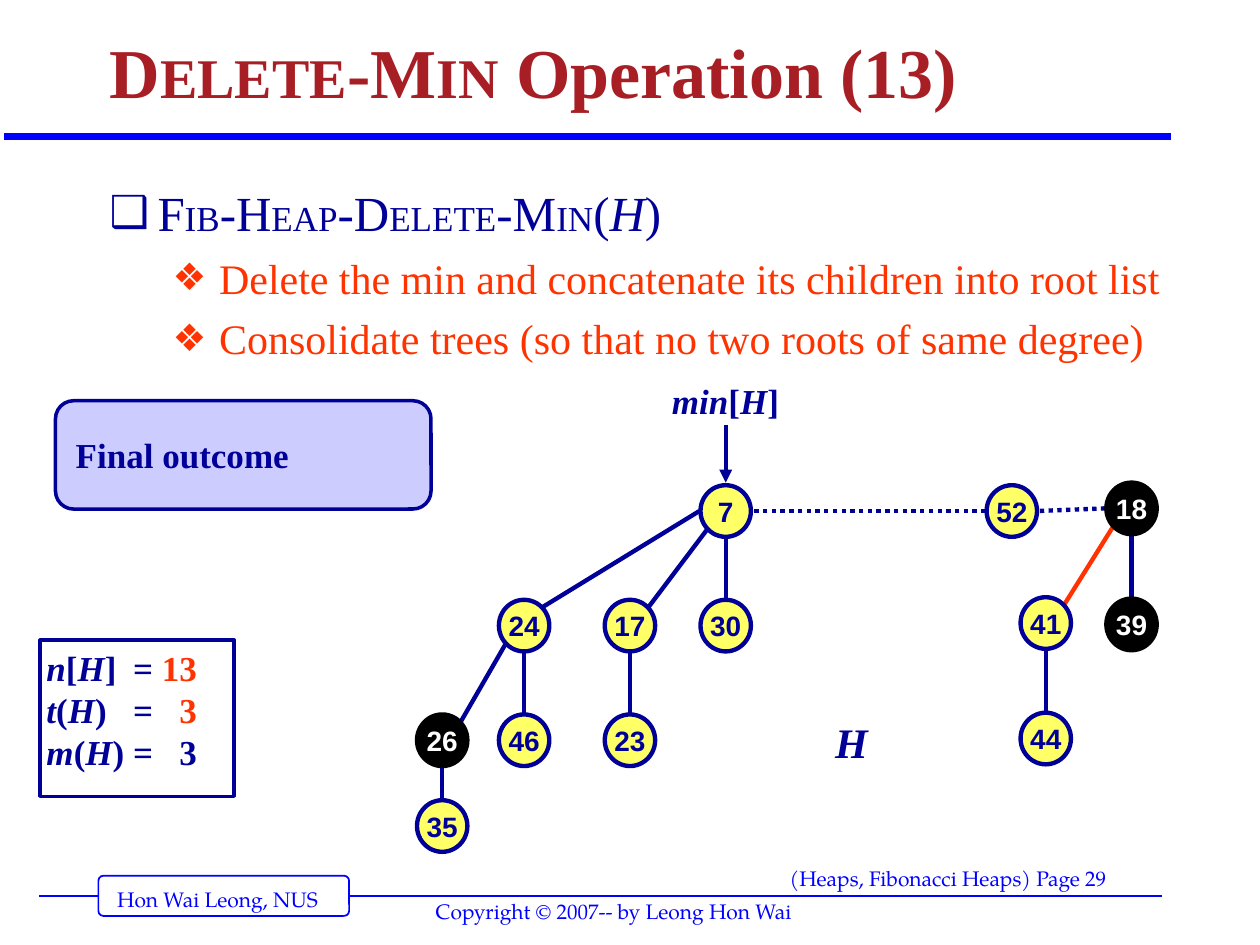
from dataclasses import dataclass
from typing import NamedTuple

from lxml.etree import SubElement
from pptx import Presentation
from pptx.dml.color import RGBColor
from pptx.enum.dml import MSO_LINE
from pptx.enum.shapes import MSO_CONNECTOR, MSO_SHAPE
from pptx.enum.text import MSO_ANCHOR, MSO_AUTO_SIZE, PP_ALIGN
from pptx.oxml.ns import qn
from pptx.util import Pt


@dataclass(frozen=True)
class Theme:
    navy: str = "000099"
    blue: str = "0000FF"
    red: str = "FF3300"
    maroon: str = "A81E25"
    yellow: str = "FFFF66"
    lilac: str = "CCCCFF"
    black: str = "000000"
    white: str = "FFFFFF"
    serif: str = "Times New Roman"
    sans: str = "Arial"
    foot: str = "TeX Gyre Pagella"
    title: int = 40
    title_caps: int = 32
    head: int = 28
    head_caps: int = 20
    item: int = 24
    note: int = 20
    key: int = 16
    small: int = 12


T = Theme()


class Box(NamedTuple):
    x: float
    y: float
    w: float
    h: float


class Run(NamedTuple):
    text: str
    italic: bool | None = None
    size: int | None = None
    color: str | None = None


class Node(NamedTuple):
    x: float
    y: float
    marked: bool = False


class Edge(NamedTuple):
    start: int
    exit: str
    end: int
    entry: str
    color: str = T.navy
    dotted: bool = False


# Unit directions from a node's centre to its connection points
SIDES = {"n": (0, -1), "s": (0, 1), "w": (-1, 0), "e": (1, 0),
         "ne": (0.71, -0.71), "sw": (-0.71, 0.71)}
WIDE, TALL, GAP = 28.8, 29.5, 15

ROW1, ROW2, ROW3, ROW4 = 292, 357.5, 423, 472
NODES = {
    7: Node(414.7, ROW1), 52: Node(578.2, ROW1), 18: Node(646.6, 290.5, True),
    24: Node(299.5, ROW2), 17: Node(360, ROW2), 30: Node(414.7, ROW2),
    41: Node(597.6, 356), 39: Node(646.6, 356.8, True),
    26: Node(252.7, ROW3, True), 46: Node(299.5, ROW3), 23: Node(360, ROW3),
    44: Node(597.6, 422), 35: Node(252.7, ROW4),
}
EDGES = [
    Edge(52, "w", 7, "e", dotted=True), Edge(18, "w", 52, "e", dotted=True),
    Edge(7, "w", 24, "ne"), Edge(7, "sw", 17, "ne"),
    Edge(24, "sw", 26, "ne"), Edge(18, "sw", 41, "ne", T.red),
    *(Edge(top, "s", low, "n") for top, low in
      [(7, 30), (24, 46), (17, 23), (26, 35), (18, 39), (41, 44)]),
]
FOOTS = [
    ("Hon Wai Leong, NUS", Box(59.8, 503.3, 131, 21.6)),
    ("(Heaps, Fibonacci Heaps) Page 29", Box(444.2, 491, 247.7, 23)),
    ("Copyright © 2007-- by Leong Hon Wai", Box(241.9, 509.8, 226.8, 21.6)),
]
COUNTS = [
    [Run("n", True), Run("["), Run("H", True), Run("]\t=\t"), Run("13", color=T.red)],
    [Run("t", True), Run("("), Run("H", True), Run(")\t=\t"), Run("3", color=T.red)],
    [Run("m", True), Run("("), Run("H", True), Run(")\t=\t3")],
]


def rgb(code: str) -> RGBColor:
    return RGBColor.from_string(code)


def place(shape, box: Box) -> None:
    shape.left, shape.top, shape.width, shape.height = map(Pt, box)


def frame(shape, inset: tuple, anchor=MSO_ANCHOR.TOP, wrap: bool = True):
    text = shape.text_frame
    text.auto_size = MSO_AUTO_SIZE.NONE
    text.word_wrap, text.vertical_anchor = wrap, anchor
    (text.margin_left, text.margin_top,
     text.margin_right, text.margin_bottom) = map(Pt, inset)
    return text


def write(par, runs: list[Run], size: int, color: str = T.navy,
          font: str = T.serif, bold: bool = True, align=PP_ALIGN.LEFT) -> None:
    par.alignment = align
    par.space_before = Pt(0)
    par.font.name, par.font.size, par.font.bold = font, Pt(size), bold
    par.font.color.rgb = rgb(color)
    for part in runs:
        run = par.add_run()
        run.text = part.text
        run.font.italic = part.italic
        if part.size:
            run.font.size = Pt(part.size)
        if part.color:
            run.font.color.rgb = rgb(part.color)


def label(slide, box: Box, runs: list[Run], size: int, **style) -> None:
    text = frame(slide.shapes.add_textbox(*map(Pt, box)), (7.2, 3.6, 0, 3.6))
    write(text.paragraphs[0], runs, size, **style)


def panel(slide, kind, box: Box, fill: str | None, line: str, width: float):
    shape = slide.shapes.add_shape(kind, *map(Pt, box))
    shape.shadow.inherit = False
    if fill:
        shape.fill.solid()
        shape.fill.fore_color.rgb = rgb(fill)
    else:
        shape.fill.background()
    shape.line.color.rgb = rgb(line)
    shape.line.width = Pt(width)
    return shape


def rule(slide, start: tuple, end: tuple, color: str, width: float,
         dotted: bool = False, arrow: bool = False) -> None:
    wire = slide.shapes.add_connector(MSO_CONNECTOR.STRAIGHT, *map(Pt, start + end))
    wire.line.color.rgb = rgb(color)
    wire.line.width = Pt(width)
    if dotted:
        wire.line.dash_style = MSO_LINE.ROUND_DOT
    props = wire._element.spPr
    if arrow:
        SubElement(props.find(qn("a:ln")), qn("a:tailEnd"), type="triangle")
    SubElement(props, qn("a:effectLst"))


def port(key: int, side: str) -> tuple:
    """Point just outside a node on the given side."""
    node, (dx, dy) = NODES[key], SIDES[side]
    return node.x + GAP * dx, node.y + GAP * dy


def bullet(par, mark: str, color: str, left: float, hang: float) -> None:
    props = par._p.get_or_add_pPr()
    props.set("marL", str(Pt(left)))
    props.set("indent", str(-Pt(hang)))
    SubElement(SubElement(props, qn("a:buClr")), qn("a:srgbClr"), val=color)
    SubElement(props, qn("a:buSzPct"), val="90000")
    SubElement(props, qn("a:buChar"), char=mark)


def tabs(par, stops: list[tuple]) -> None:
    group = SubElement(par._p.get_or_add_pPr(), qn("a:tabLst"))
    # Tab stops precede the paragraph's default run properties
    group.getparent().find(qn("a:defRPr")).addprevious(group)
    for spot, align in stops:
        SubElement(group, qn("a:tab"), pos=str(Pt(spot)), algn=align)


def heads(slide) -> None:
    title, body = slide.shapes.title, slide.placeholders[1]
    place(title, Box(55.4, 5.8, 612, 62.6))
    par = frame(title, (7.2, 3.6, 7.2, 3.6), MSO_ANCHOR.BOTTOM).paragraphs[0]
    caps = T.title_caps
    write(par, [Run("D"), Run("ELETE", size=caps), Run("-M"), Run("IN", size=caps),
                Run(" Operation (13)")], T.title, T.maroon)
    par.line_spacing = 0.9

    place(body, Box(55.4, 100.8, 630, 117.4))
    text = frame(body, (7.2, 3.6, 7.2, 3.6))
    par, caps = text.paragraphs[0], T.head_caps
    bullet(par, "❑", T.navy, 27.4, 27.4)
    write(par, [Run("F"), Run("IB", size=caps), Run("-H"), Run("EAP", size=caps),
                Run("-D"), Run("ELETE", size=caps), Run("-M"), Run("IN", size=caps),
                Run("("), Run("H", True), Run(")")], T.head, bold=False)
    for line in ("Delete the min and concatenate its children into root list",
                 "Consolidate trees (so that no two roots of same degree)"):
        par = text.add_paragraph()
        par.level = 1
        bullet(par, "❖", T.red, 62.6, 26.6)
        write(par, [Run(line)], T.item, T.red, bold=False)
        par.space_before = Pt(6)


def heap(slide) -> None:
    for edge in EDGES:
        rule(slide, port(edge.start, edge.exit), port(edge.end, edge.entry),
             edge.color, 2.5, edge.dotted)
    for key, node in NODES.items():
        fill, line, ink = ((T.black, T.black, T.white) if node.marked
                           else (T.yellow, T.navy, T.navy))
        box = Box(node.x - WIDE / 2, node.y - TALL / 2, WIDE, TALL)
        disc = panel(slide, MSO_SHAPE.OVAL, box, fill, line, 2.5)
        text = frame(disc, (0, 0, 0, 0), MSO_ANCHOR.MIDDLE, wrap=False)
        write(text.paragraphs[0], [Run(str(key))], T.key, ink, T.sans,
              align=PP_ALIGN.CENTER)
    rule(slide, (414.7, 242.6), (414.7, 275.8), T.navy, 2.5, arrow=True)
    label(slide, Box(365, 213.1, 92, 29.5),
          [Run("min", True), Run("["), Run("H", True), Run("]")], T.note,
          align=PP_ALIGN.CENTER)
    label(slide, Box(470.2, 406.1, 40.3, 36), [Run("H", True)], T.item)


def notes(slide) -> None:
    card = panel(slide, MSO_SHAPE.ROUNDED_RECTANGLE, Box(31.7, 229, 214.6, 61.9),
                 T.lilac, T.navy, 2)
    text = frame(card, (8.6, 3.6, 3.6, 3.6), MSO_ANCHOR.MIDDLE)
    write(text.paragraphs[0], [Run("Final outcome")], T.note)

    card = panel(slide, MSO_SHAPE.RECTANGLE, Box(23, 365.8, 110.9, 89.3),
                 None, T.navy, 2)
    text = frame(card, (3.6, 3.6, 3.6, 3.6))
    for i, runs in enumerate(COUNTS):
        par = text.add_paragraph() if i else text.paragraphs[0]
        write(par, runs, T.note)
        tabs(par, [(49.5, "l"), (86, "r")])


def footer(slide) -> None:
    rule(slide, (22.3, 511.9), (663.8, 511.9), T.blue, 1)
    card = panel(slide, MSO_SHAPE.ROUNDED_RECTANGLE, Box(56.2, 500.4, 143.3, 23),
                 T.white, T.blue, 1)
    card.adjustments[0] = 0.125
    rule(slide, (2.2, 77.8), (668.9, 77.8), T.blue, 4)
    for words, box in FOOTS:
        label(slide, box, [Run(words)], T.small, color=T.blue, font=T.foot, bold=False)


def main() -> None:
    deck = Presentation()
    deck.slide_width, deck.slide_height = Pt(720), Pt(540)
    slide = deck.slides.add_slide(deck.slide_layouts[1])
    for draw in (footer, heads, heap, notes):
        draw(slide)
    deck.save("out.pptx")


if __name__ == "__main__":
    main()
